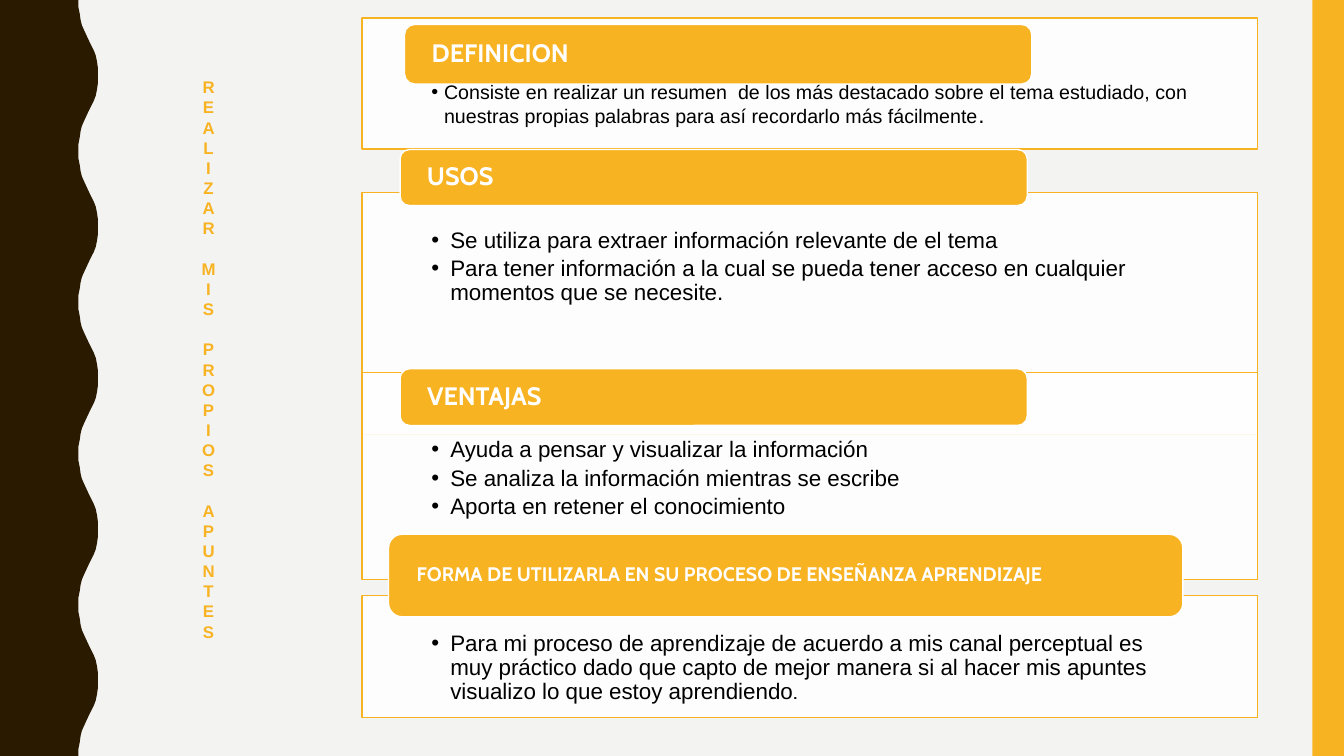
from dataclasses import dataclass

from lxml import etree
from pptx import Presentation
from pptx.dml.color import RGBColor
from pptx.enum.shapes import MSO_SHAPE
from pptx.enum.text import MSO_ANCHOR, MSO_AUTO_SIZE, PP_ALIGN
from pptx.oxml.ns import qn
from pptx.util import Pt

RECT = MSO_SHAPE.RECTANGLE
ROUNDED = MSO_SHAPE.ROUNDED_RECTANGLE
TOP, MIDDLE = MSO_ANCHOR.TOP, MSO_ANCHOR.MIDDLE
LEFT, CENTER, JUSTIFY = PP_ALIGN.LEFT, PP_ALIGN.CENTER, PP_ALIGN.JUSTIFY
GROW = MSO_AUTO_SIZE.SHAPE_TO_FIT_TEXT


@dataclass(frozen=True)
class Theme:
    paper: str = "F3F3F2"
    bark: str = "2A1A00"
    amber: str = "F8B323"
    white: str = "FFFFFF"
    ink: str = "000000"
    body_font: str = "Arial"
    label_font: str = "Cabin"
    title: int = 12
    small: int = 14
    body: int = 16
    label: int = 18


THEME = Theme()
SLIDE_W, SLIDE_H = 960, 540
PANEL_X, PANEL_W = 258.5, 640
WAVE_PERIOD = 108
HALF_WAVE = [
    (56, 0), (56, 5), (57, 10), (57.6, 14.4), (58.5, 18), (59.8, 21),
    (61.2, 24), (62.6, 27), (64, 30), (65.5, 33), (67, 36), (68.4, 39.6),
    (69.3, 44), (70, 49), (70, 54),
]

SECTIONS = [
    dict(
        panel=(13, 93.6), label=(289, 17.5, 448, 42.5), title="DEFINICION",
        title_size=THEME.label, top_inset=46, indent=9, align=JUSTIFY,
        points=[[
            ("Consiste en realizar un resumen  de los más destacado sobre el tema "
             "estudiado, con nuestras propias palabras para así recordarlo más "
             "fácilmente", THEME.small, THEME.body_font),
            (".", THEME.body, THEME.body_font),
        ]],
    ),
    dict(
        panel=(137.5, 172.8), label=(285.8, 106.8, 448, 40), title="USOS",
        title_size=THEME.label, top_inset=26, indent=13.5, align=LEFT,
        points=[
            [("Se utiliza para extraer información relevante de el tema",
              THEME.body, THEME.body_font)],
            [("Para tener información a la cual se pueda tener acceso en cualquier "
              "momentos que se necesite.", THEME.body, THEME.body_font)],
        ],
    ),
    dict(
        panel=(266.2, 147.6), label=(285.8, 263.4, 448, 40.5), title="VENTAJAS",
        title_size=THEME.label, top_inset=47, indent=13.5, align=LEFT,
        points=[
            [("Ayuda a pensar y visualizar la información",
              THEME.body, THEME.body_font)],
            [("Se analiza la información mientras se escribe",
              THEME.body, THEME.body_font)],
            [("Aporta en retener el conocimiento", THEME.body, THEME.body_font)],
        ],
    ),
    dict(
        panel=(425.5, 87), label=(277.5, 381.6, 567.4, 59),
        title="FORMA DE UTILIZARLA EN SU PROCESO DE ENSEÑANZA APRENDIZAJE",
        title_size=THEME.small, top_inset=26, indent=13.5, align=LEFT,
        points=[[
            ("Para mi proceso de aprendizaje de acuerdo a mis canal perceptual es "
             "muy práctico dado que capto de mejor manera si al hacer mis apuntes "
             "visualizo lo que estoy aprendiendo", THEME.body, THEME.body_font),
            (".", THEME.body, THEME.label_font),
        ]],
    ),
]


def paint(shape, fill, line=None):
    shape.shadow.inherit = False
    shape.fill.solid()
    shape.fill.fore_color.rgb = RGBColor.from_string(fill)
    if line:
        shape.line.color.rgb = RGBColor.from_string(line)
        shape.line.width = Pt(1)
    else:
        shape.line.fill.background()


def add_block(slide, kind, box, fill, line=None):
    block = slide.shapes.add_shape(kind, *map(Pt, box))
    paint(block, fill, line)
    return block


def set_frame(frame, anchor, left, top, right, bottom):
    frame.word_wrap = True
    frame.vertical_anchor = anchor
    frame.margin_left, frame.margin_top = Pt(left), Pt(top)
    frame.margin_right, frame.margin_bottom = Pt(right), Pt(bottom)


def add_run(paragraph, text, size, font, color, bold=False):
    run = paragraph.add_run()
    run.text = text
    run.font.size = Pt(size)
    run.font.name = font
    run.font.bold = bold
    run.font.color.rgb = RGBColor.from_string(color)


def set_bullet(paragraph, indent):
    properties = paragraph._p.get_or_add_pPr()
    properties.set("marL", str(Pt(indent)))
    properties.set("indent", str(-Pt(indent)))
    etree.SubElement(properties, qn("a:buFont")).set("typeface", THEME.body_font)
    etree.SubElement(properties, qn("a:buChar")).set("char", "•")


def add_wave_edge(slide):
    wave = HALF_WAVE + [(x, WAVE_PERIOD - y) for x, y in HALF_WAVE[-2::-1]]
    edge = [
        (Pt(x), Pt(y + crest * WAVE_PERIOD))
        for crest in range(SLIDE_H // WAVE_PERIOD)
        for x, y in wave
    ]
    builder = slide.shapes.build_freeform(0, 0)
    builder.add_line_segments(edge + [(0, Pt(SLIDE_H))], close=True)
    paint(builder.convert_to_shape(), THEME.bark)


def add_panel(slide, section):
    top, height = section["panel"]
    panel = add_block(slide, RECT, (PANEL_X, top, PANEL_W, height),
                      THEME.white, THEME.amber)
    color = panel.fill._xPr.find(".//" + qn("a:srgbClr"))
    etree.SubElement(color, qn("a:alpha")).set("val", "90000")
    frame = panel.text_frame
    set_frame(frame, TOP, 49.7, section["top_inset"], 49.7, 8.6)
    for number, runs in enumerate(section["points"]):
        point = frame.add_paragraph() if number else frame.paragraphs[0]
        set_bullet(point, section["indent"])
        point.alignment = section["align"]
        point.line_spacing = 0.9
        point.space_after = Pt(3)
        for text, size, font in runs:
            add_run(point, text, size, font, THEME.ink)


def add_label(slide, section):
    label = add_block(slide, ROUNDED, section["label"], THEME.amber, THEME.white)
    set_frame(label.text_frame, MIDDLE, 17.3, 0, 17.3, 0)
    heading = label.text_frame.paragraphs[0]
    heading.alignment = LEFT
    heading.line_spacing = 0.9
    add_run(heading, section["title"], section["title_size"],
            THEME.label_font, THEME.white, True)


def add_vertical_title(slide, text):
    title = slide.shapes.add_textbox(Pt(134), Pt(10.8), Pt(30), Pt(506))
    frame = title.text_frame
    frame.word_wrap = True
    frame.auto_size = GROW
    frame._txBody.find(qn("a:bodyPr")).set("vert", "wordArtVert")
    frame.paragraphs[0].alignment = CENTER
    add_run(frame.paragraphs[0], text, THEME.title,
            THEME.body_font, THEME.amber, True)


def main():
    deck = Presentation()
    deck.slide_width, deck.slide_height = Pt(SLIDE_W), Pt(SLIDE_H)
    slide = deck.slides.add_slide(deck.slide_layouts[6])
    slide.background.fill.solid()
    slide.background.fill.fore_color.rgb = RGBColor.from_string(THEME.paper)
    add_wave_edge(slide)
    add_block(slide, RECT, (937.5, 0, 22.5, SLIDE_H), THEME.amber)
    for section in SECTIONS:
        add_panel(slide, section)
        add_label(slide, section)
    add_vertical_title(slide, "REALIZAR MIS PROPIOS APUNTES ")
    deck.save("out.pptx")


if __name__ == "__main__":
    main()
